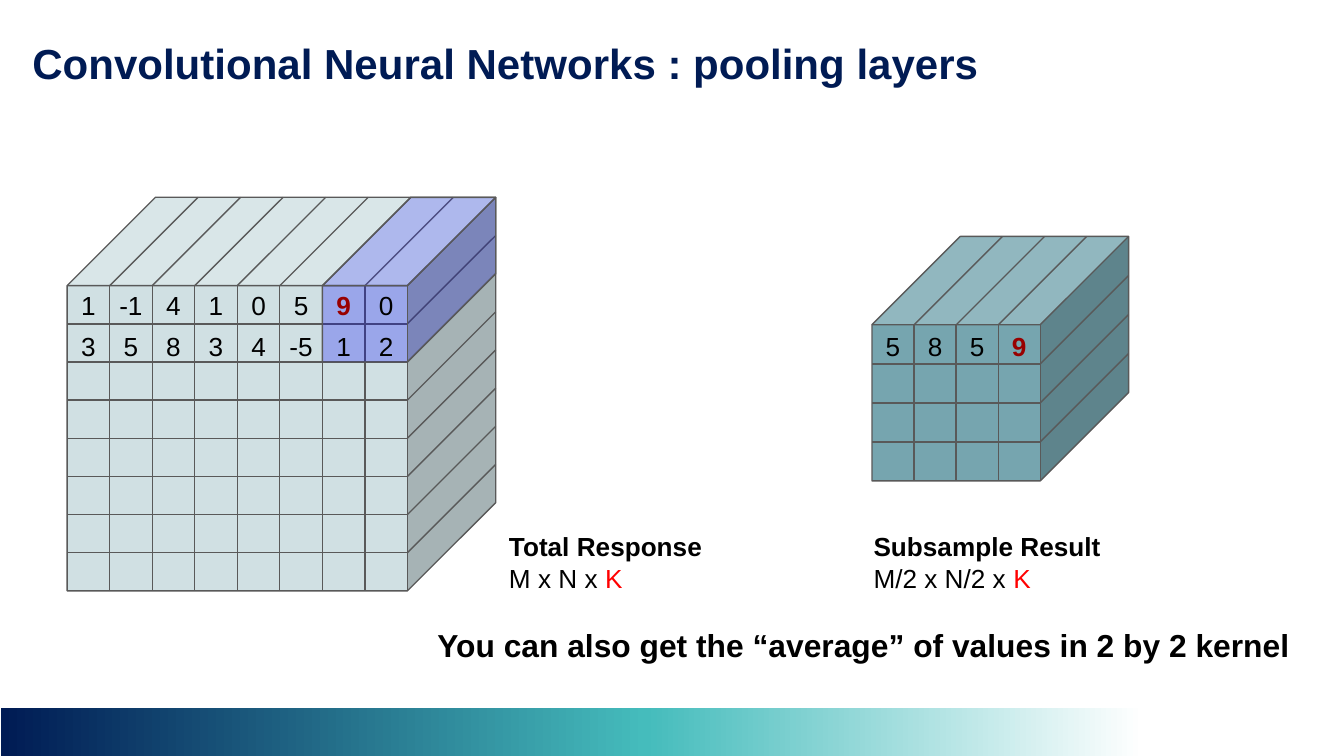
from lxml.etree import SubElement
from pptx import Presentation
from pptx.dml.color import RGBColor
from pptx.enum.shapes import MSO_CONNECTOR as CONN, MSO_SHAPE as SHAPE
from pptx.enum.text import MSO_ANCHOR as ANCHOR, PP_ALIGN as ALIGN
from pptx.oxml.ns import qn
from pptx.util import Cm, Pt

NAVY, BLACK, RED, MAXIMUM = "001B54", "000000", "FF0000", "980000"
GREY = "595959"
INSET = 0.25


def rgb(hex_color):
    """Turn a hex string into a colour."""
    return RGBColor.from_string(hex_color)


def add_run(p, text, size, color=BLACK, bold=False):
    """Append one formatted run to a paragraph."""
    r = p.add_run()
    r.text = text
    r.font.name, r.font.size, r.font.bold = "Arial", Pt(size), bold
    r.font.color.rgb = rgb(color)


def format_frame(sp, anchor=ANCHOR.TOP):
    """Give a text shape equal insets and wrapping, and return its frame."""
    tf = sp.text_frame
    tf.word_wrap = True
    tf.vertical_anchor = anchor
    tf.margin_left = tf.margin_right = tf.margin_top = tf.margin_bottom = Cm(INSET)
    return tf


def add_box(slide, left, top, width, height):
    """Add a text box and return its frame."""
    return format_frame(slide.shapes.add_textbox(Cm(left), Cm(top), Cm(width), Cm(height)))


def add_line(shapes, x1, y1, x2, y2):
    """Draw one thin grid line without a shadow."""
    s = shapes.add_connector(CONN.STRAIGHT, Cm(x1), Cm(y1), Cm(x2), Cm(y2))
    s.line.color.rgb = rgb(GREY)
    s.line.width = Pt(0.75)
    SubElement(s._element.spPr, qn("a:effectLst"))


def add_cube(shapes, left, top, width, height, depth, color, alpha=None):
    """Draw a cube whose top and side faces have the given depth."""
    s = shapes.add_shape(SHAPE.CUBE, Cm(left), Cm(top), Cm(width), Cm(height))
    s.adjustments[0] = depth / min(width, height)
    s.shadow.inherit = False
    s.fill.solid()
    s.fill.fore_color.rgb = rgb(color)
    s.line.color.rgb = rgb(GREY)
    s.line.width = Pt(0.75)
    if alpha:
        clr = s._element.spPr.find(qn("a:solidFill"))[0]
        SubElement(clr, qn("a:alpha"), val=str(alpha * 1000))


def add_grid_cube(shapes, left, top, width, height, depth, count, color):
    """Draw a cube ruled into count columns and count rows."""
    add_cube(shapes, left, top, width, height, depth, color)
    front_top, front_right = top + depth, left + width - depth
    bottom = top + height
    for i in range(1, count):
        x = left + i * (width - depth) / count
        y = front_top + i * (height - depth) / count
        add_line(shapes, x, bottom, x, front_top)
        add_line(shapes, x, front_top, x + depth, top)
        add_line(shapes, left, y, front_right, y)
        add_line(shapes, front_right, y, front_right + depth, y - depth)


def add_values(slide, left, top, width, height, pitch, rows):
    """Write rows of numbers on tab stops centred in the cube's columns."""
    tf = add_box(slide, left, top, width, height)
    for n, row in enumerate(rows):
        p = tf.add_paragraph() if n else tf.paragraphs[0]
        tabs = SubElement(p._p.get_or_add_pPr(), qn("a:tabLst"))
        for i in range(len(row)):
            stop = Cm(pitch * (i + 0.5) - INSET)
            SubElement(tabs, qn("a:tab"), pos=str(int(stop)), algn="ctr")
        if n:
            p.space_before = Pt(5)
        for value in row:
            top_value = value == 9
            add_run(p, f"\t{value}", 14, MAXIMUM if top_value else BLACK, top_value)


def add_caption(slide, left, top, width, height, name, size):
    """Write a cube's name above its dimensions, with K in red."""
    tf = add_box(slide, left, top, width, height)
    add_run(tf.paragraphs[0], name, 14, bold=True)
    p = tf.add_paragraph()
    add_run(p, size, 14)
    add_run(p, "K", 14, RED)


def add_title(slide, left, top, width, height, text):
    """Place and format the title placeholder."""
    sp = slide.shapes.title
    sp.left, sp.top, sp.width, sp.height = Cm(left), Cm(top), Cm(width), Cm(height)
    p = format_frame(sp, ANCHOR.MIDDLE).paragraphs[0]
    p.alignment = ALIGN.LEFT
    add_run(p, text, 22.5, NAVY, True)


def add_footer_band(slide, left, top, width, height):
    """Draw the band that fades from navy through teal to white."""
    s = slide.shapes.add_shape(SHAPE.RECTANGLE, Cm(left), Cm(top), Cm(width), Cm(height))
    s.shadow.inherit = False
    s.line.fill.background()
    s.fill.gradient()
    s.fill.gradient_angle = 0
    stops = s._element.spPr.find(qn("a:gradFill")).find(qn("a:gsLst"))
    for gs in list(stops):
        stops.remove(gs)
    for pos, color in ((0, NAVY), (48, "45BCBC"), (85, "FFFFFF"), (100, "FFFFFF")):
        gs = SubElement(stops, qn("a:gs"), pos=str(pos * 1000))
        SubElement(gs, qn("a:srgbClr"), val=color)


def add_response(slide, left, top, width, height):
    """Draw the full response cube, its 2 by 2 kernel and its values."""
    count, kernel, depth = 8, 2, 1.67
    pitch, row = (width - depth) / count, (height - depth) / count
    add_grid_cube(slide.shapes, left, top, width, height, depth, count, "D0E0E3")
    add_cube(slide.shapes, left + (count - kernel) * pitch, top,
             kernel * pitch + depth, kernel * row + depth, depth, "0003FF", 26)
    add_values(slide, left, top + 1.5, width - depth + 0.4, 5.66, pitch,
               [[1, -1, 4, 1, 0, 5, 9, 0], [3, 5, 8, 3, 4, -5, 1, 2]])


def add_subsample(slide, left, top, width, height):
    """Draw the pooled cube as a group, with its values."""
    count, depth = 4, 1.67
    group = slide.shapes.add_group_shape()
    add_grid_cube(group.shapes, left, top, width, height, depth, count, "76A5AF")
    add_values(slide, left, top + 1.52, width, 5.66, (width - depth) / count, [[5, 8, 5, 9]])


def build_slide(prs):
    """Compose the pooling layers slide."""
    slide = prs.slides.add_slide(prs.slide_layouts[5])
    add_footer_band(slide, 0.02, 13.38, 25.4, 0.94)
    add_title(slide, 0.36, 0.38, 24.7, 1.6, "Convolutional Neural Networks : pooling layers")
    add_response(slide, 1.27, 3.73, 8.1, 7.44)
    add_subsample(slide, 16.48, 4.47, 4.85, 4.62)
    add_caption(slide, 9.37, 9.78, 5, 1.4, "Total Response", "M x N x ")
    add_caption(slide, 16.26, 9.78, 5, 1.4, "Subsample Result", "M/2 x N/2 x ")
    p = add_box(slide, 6.76, 11.58, 17.88, 1).paragraphs[0]
    p.alignment = ALIGN.RIGHT
    add_run(p, "You can also get the “average” of values in 2 by 2 kernel", 17, bold=True)


def main():
    """Build the presentation and save it."""
    prs = Presentation()
    prs.slide_width, prs.slide_height = Cm(25.4), Cm(14.29)
    build_slide(prs)
    prs.save("out.pptx")


if __name__ == "__main__":
    main()
